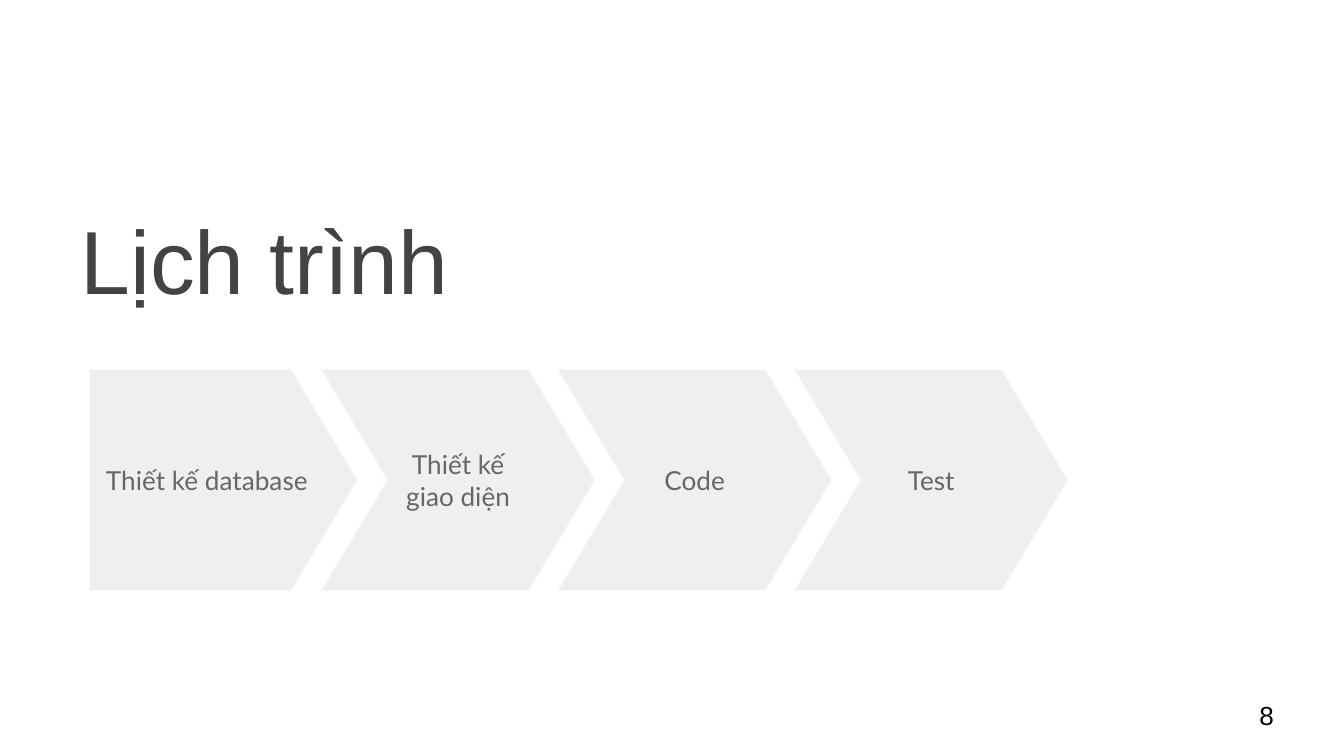
from pptx import Presentation
from pptx.dml.color import RGBColor
from pptx.enum.shapes import MSO_SHAPE as Shape
from pptx.enum.text import MSO_ANCHOR as Anchor, PP_ALIGN as Align
from pptx.util import Cm, Pt


def color(code):
    """Turn a hex string into a colour."""
    return RGBColor.from_string(code)


def write(box, text, size=14, face="Arial", ink="000000",
          align=Align.LEFT, anchor=Anchor.MIDDLE):
    """Put formatted text into a shape."""
    frame = box.text_frame
    frame.word_wrap = True
    frame.vertical_anchor = anchor
    frame.margin_left = frame.margin_right = Cm(0.25)
    frame.margin_top = frame.margin_bottom = Cm(0.25)
    par = frame.paragraphs[0]
    par.alignment = align
    run = par.add_run()
    run.text = text
    run.font.size = Pt(size)
    run.font.name = face
    run.font.color.rgb = color(ink)


def label(slide, text, x, y, w, h, **style):
    """Add a text box."""
    box = slide.shapes.add_textbox(Cm(x), Cm(y), Cm(w), Cm(h))
    write(box, text, **style)


def step(slide, kind, text, x, w):
    """Add one arrow of the timeline."""
    box = slide.shapes.add_shape(kind, Cm(x), Cm(6.99), Cm(w), Cm(4.17))
    box.adjustments[0] = 0.3
    box.shadow.inherit = False
    box.fill.solid()
    box.fill.fore_color.rgb = color("EFEFEF")
    box.line.fill.background()
    write(box, text, face="Lato", ink="666666", align=Align.CENTER)


def main():
    """Build the schedule slide."""
    deck = Presentation()
    deck.slide_width, deck.slide_height = Cm(25.4), Cm(14.29)
    slide = deck.slides.add_slide(deck.slide_layouts[6])
    label(slide, "Lịch trình", 1.27, 3.76, 15.32, 2.39,
          size=48, ink="434343", anchor=Anchor.BOTTOM)
    step(slide, Shape.PENTAGON, "Thiết kế database", 1.7, 5.05)
    for i, text in enumerate(["Thiết kế giao diện", "Code", "Test"]):
        step(slide, Shape.CHEVRON, text, 6.08 + 4.47 * i, 5.16)
    label(slide, "8", 23.55, 12.98, 1.52, 1.09)
    deck.save("out.pptx")


if __name__ == "__main__":
    main()
